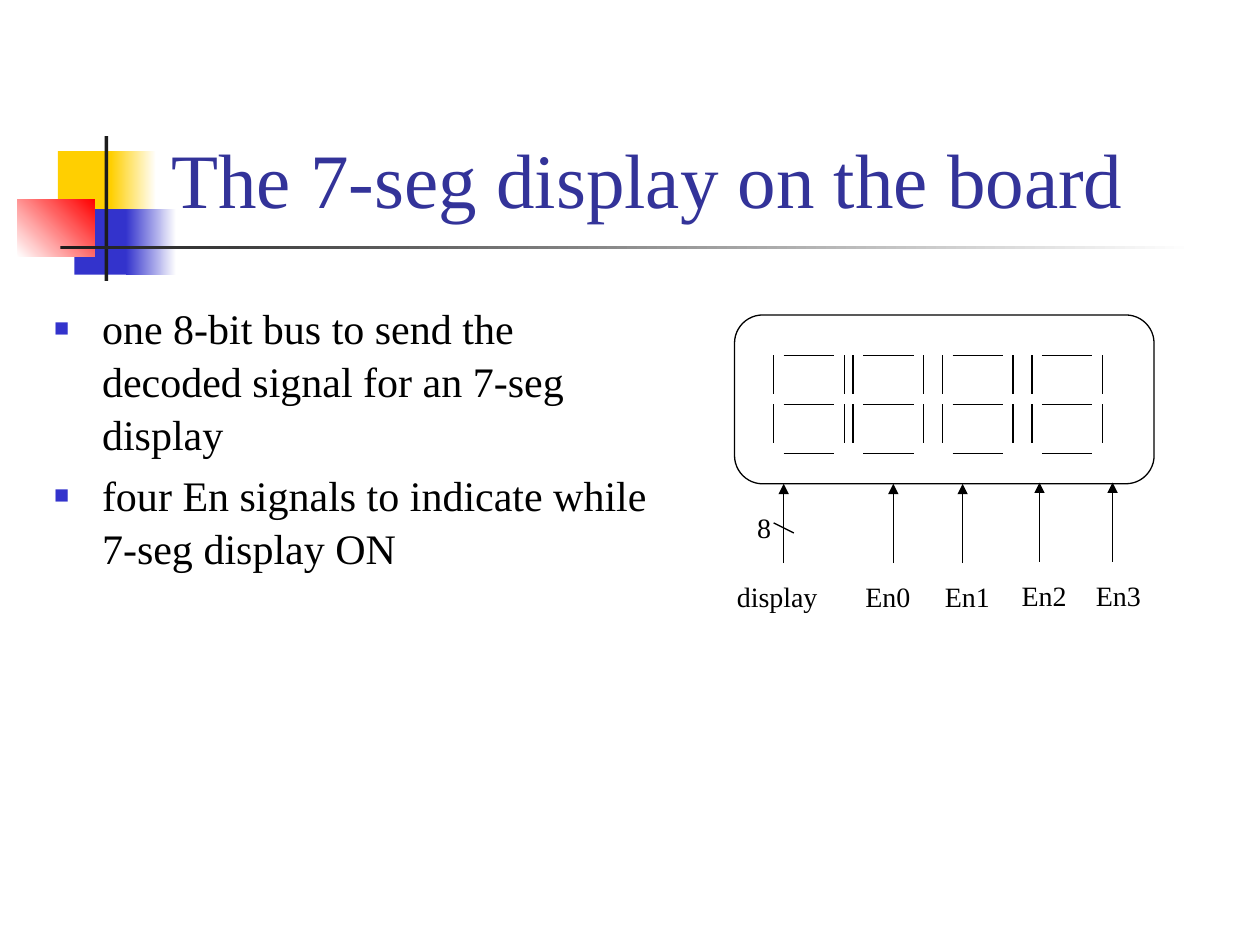
from lxml.etree import SubElement
from pptx import Presentation
from pptx.dml.color import RGBColor
from pptx.enum.shapes import MSO_CONNECTOR, MSO_SHAPE
from pptx.enum.text import MSO_ANCHOR, MSO_AUTO_SIZE, PP_ALIGN
from pptx.oxml.ns import qn
from pptx.util import Inches, Pt

BLACK, WHITE, DARK = "000000", "FFFFFF", "1C1C1C"
YELLOW, BLUE, RED, TITLE_BLUE = "FFCF01", "3333CC", "FF0000", "333399"


def color(value):
    return RGBColor.from_string(value)


class SlideBuilder:
    """Holds the slide and the style shared by its elements."""

    font_name = "Times New Roman"
    line_width = Pt(0.75)

    def __init__(self, slide):
        self.slide = slide

    def place(self, shape, left, top, width, height):
        shape.left, shape.top = Inches(left), Inches(top)
        shape.width, shape.height = Inches(width), Inches(height)

    def add_run(self, paragraph, text, size, text_color=BLACK):
        run = paragraph.add_run()
        run.text = text
        run.font.name = self.font_name
        run.font.size = Pt(size)
        run.font.color.rgb = color(text_color)

    def title(self, text, *box):
        shape = self.slide.shapes.title
        self.place(shape, *box)
        frame = shape.text_frame
        frame.vertical_anchor = MSO_ANCHOR.BOTTOM
        frame.auto_size = MSO_AUTO_SIZE.NONE
        paragraph = frame.paragraphs[0]
        paragraph.alignment = PP_ALIGN.LEFT
        self.add_run(paragraph, text, 44, TITLE_BLUE)

    def bullets(self, items, *box):
        shape = self.slide.placeholders[1]
        self.place(shape, *box)
        frame = shape.text_frame
        frame.auto_size = MSO_AUTO_SIZE.NONE
        for index, item in enumerate(items):
            paragraph = frame.add_paragraph() if index else frame.paragraphs[0]
            self.square_bullet(paragraph)
            paragraph.space_before = Pt(4.8 if index else 0)
            paragraph.line_spacing = 1.05
            self.add_run(paragraph, item, 24)

    def square_bullet(self, paragraph):
        properties = paragraph._p.get_or_add_pPr()
        properties.set("marL", str(Inches(0.38)))
        properties.set("indent", str(-Inches(0.38)))
        bullet_color = SubElement(properties, qn("a:buClr"))
        SubElement(bullet_color, qn("a:srgbClr"), val=BLUE)
        SubElement(properties, qn("a:buSzPct"), val="60000")
        SubElement(properties, qn("a:buChar"), char="■")

    def block(self, box, start, end=None, angle=0):
        """Add a borderless rectangle, shaded from start to end if end is given."""
        left, top, width, height = map(Inches, box)
        shape = self.slide.shapes.add_shape(MSO_SHAPE.RECTANGLE, left, top, width, height)
        shape.shadow.inherit = False
        shape.line.fill.background()
        if end is None:
            shape.fill.solid()
            shape.fill.fore_color.rgb = color(start)
            return
        shape.fill.gradient()
        shape.fill.gradient_angle = angle
        for stop, value in zip(shape.fill.gradient_stops, (start, end)):
            stop.color.rgb = color(value)

    def rounded_frame(self, *box):
        left, top, width, height = map(Inches, box)
        shape = self.slide.shapes.add_shape(
            MSO_SHAPE.ROUNDED_RECTANGLE, left, top, width, height)
        shape.shadow.inherit = False
        shape.adjustments[0] = 0.167
        shape.fill.background()
        shape.line.color.rgb = color(BLACK)
        shape.line.width = self.line_width

    def line(self, x1, y1, x2, y2, arrow=False):
        connector = self.slide.shapes.add_connector(
            MSO_CONNECTOR.STRAIGHT, Inches(x1), Inches(y1), Inches(x2), Inches(y2))
        connector.line.color.rgb = color(BLACK)
        connector.line.width = self.line_width
        SubElement(connector._element.spPr, qn("a:effectLst"))
        if arrow:
            SubElement(connector.get_or_add_ln(), qn("a:tailEnd"), type="triangle")

    def label(self, text, left, top, width):
        shape = self.slide.shapes.add_textbox(
            Inches(left), Inches(top), Inches(width), Inches(0.37))
        frame = shape.text_frame
        frame.word_wrap = False
        frame.auto_size = MSO_AUTO_SIZE.SHAPE_TO_FIT_TEXT
        self.add_run(frame.paragraphs[0], text, 16)

    def digit(self, left, top):
        """Draw the seven segments of one digit."""
        width, row, gap, length = 0.56, 0.39, 0.08, 0.31
        for index in range(3):
            y = top + index * row
            self.line(left + gap, y, left + width - gap, y)
        for y in (top, top + row):
            for x in (left, left + width):
                self.line(x, y, x, y + length)


def main():
    presentation = Presentation()
    presentation.slide_width = Inches(10)
    presentation.slide_height = Inches(7.5)
    slide = presentation.slides.add_slide(presentation.slide_layouts[1])
    builder = SlideBuilder(slide)

    builder.block((0.46, 1.2, 0.48, 0.52), YELLOW)
    builder.block((0.88, 1.2, 0.36, 0.52), YELLOW, WHITE)
    builder.block((0.59, 1.66, 0.46, 0.52), BLUE)
    builder.block((1, 1.66, 0.4, 0.52), BLUE, WHITE)
    builder.block((0.14, 1.58, 0.61, 0.46), WHITE, RED, angle=45)
    builder.block((0.83, 1.08, 0.03, 1.15), DARK)
    builder.block((0.48, 1.95, 9, 0.03), DARK, WHITE)

    builder.title("The 7-seg display on the board", 1.26, 0.23, 8.52, 1.6)
    builder.bullets(
        ["one 8-bit bus to send the decoded signal for an 7-seg display",
         "four En signals to indicate while 7-seg display ON"],
        0.33, 2.33, 4.92, 4.5)

    for left in (6.14, 6.77, 7.48, 8.19):
        builder.digit(left, 2.82)
    builder.rounded_frame(5.83, 2.5, 3.33, 1.34)

    # name, arrow x, arrow tip y, label left, label width
    signals = [
        ("display", 6.22, 3.84, 5.75, 0.85),
        ("En0", 7.09, 3.84, 6.77, 0.56),
        ("En1", 7.64, 3.84, 7.4, 0.56),
        ("En2", 8.25, 3.83, 8.01, 0.56),
        ("En3", 8.83, 3.83, 8.6, 0.56),
    ]
    for name, x, tip, left, width in signals:
        builder.line(x, tip + 0.63, x, tip, arrow=True)
        builder.label(name, left, tip + 0.71, width)
    builder.line(6.14, 4.15, 6.3, 4.23)
    builder.label("8", 5.91, 4, 0.31)

    presentation.save("out.pptx")


if __name__ == "__main__":
    main()
